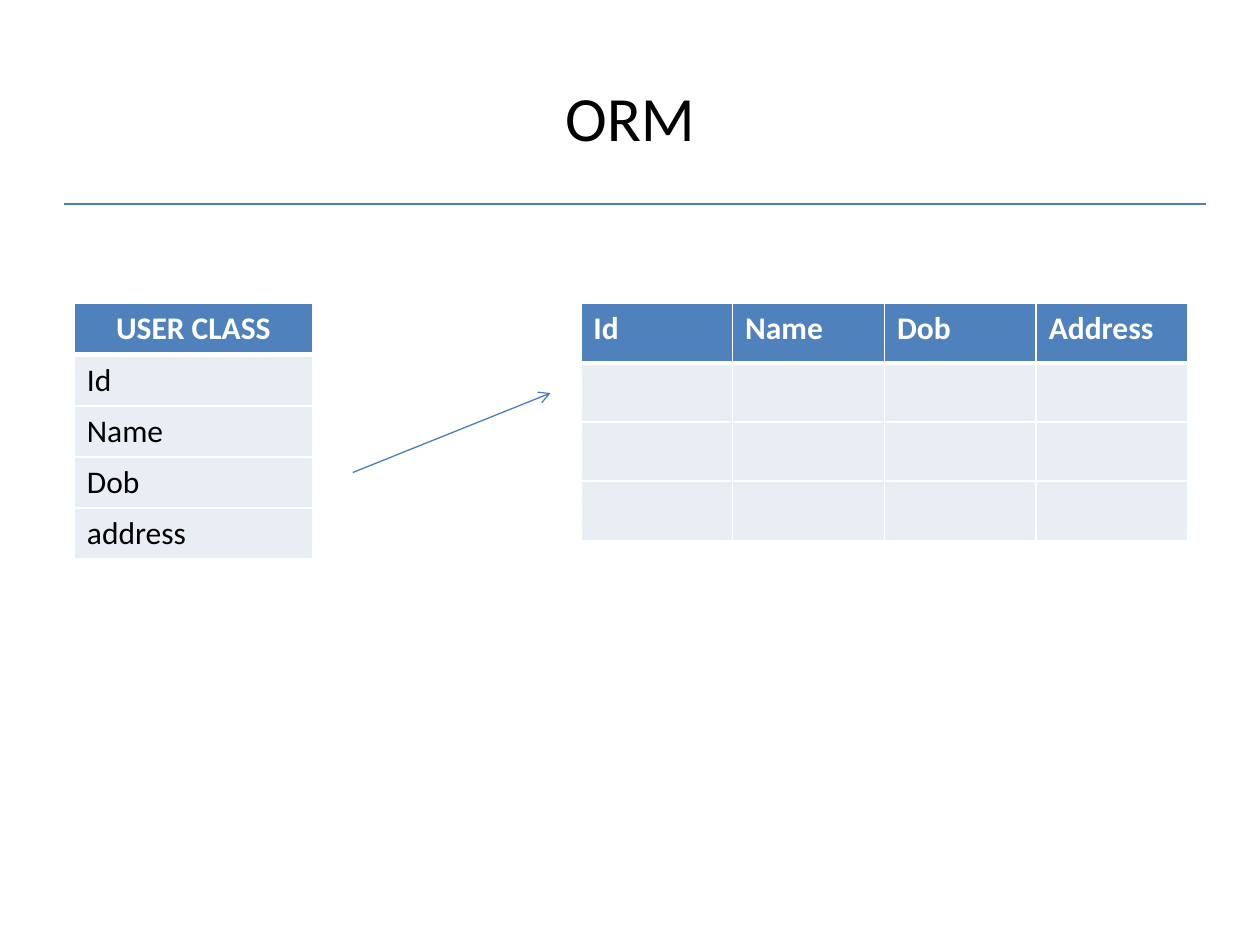
from lxml import etree
from pptx import Presentation
from pptx.dml.color import RGBColor
from pptx.enum import shapes, text
from pptx.oxml.ns import qn
from pptx.util import Inches, Pt

COLORS = {"text": "000000", "white": "FFFFFF", "header": "4F81BD",
          "body": "E9EDF4", "line": "4B7EBC"}
FONT = "Calibri"
TITLE = "ORM"
CENTER, LEFT = text.PP_ALIGN.CENTER, text.PP_ALIGN.LEFT

# Each table: left, top, column width, row height, header alignment, rows
TABLES = [
    (0.59, 2.41, 1.89, 0.4, CENTER,
     [["USER CLASS"], ["Id"], ["Name"], ["Dob"], ["address"]]),
    (4.61, 2.41, 1.205, 0.47, LEFT,
     [["Id", "Name", "Dob", "Address"]] + [[""] * 4] * 3),
]
# Each line: start, end, has arrowhead
RULE = ((0.51, 1.62), (9.57, 1.62), False)
MAPPING_ARROW = ((2.8, 3.75), (4.37, 3.12), True)


def rgb(name):
    return RGBColor.from_string(COLORS[name])


def write(tf, content, size=18, color="text", bold=False, align=LEFT):
    p = tf.paragraphs[0]
    p.alignment = align
    p.font.size = Pt(size)
    if content:
        r = p.add_run()
        r.text = content
        r.font.name, r.font.size, r.font.bold = FONT, Pt(size), bold
        r.font.color.rgb = rgb(color)


def add_line(s, start, end, arrow):
    line = s.shapes.add_connector(shapes.MSO_CONNECTOR.STRAIGHT,
                                  *map(Inches, start + end))
    line.line.color.rgb = rgb("line")
    line.line.width = Pt(0.75)
    if arrow:
        etree.SubElement(line.line._get_or_add_ln(), qn("a:tailEnd"), type="arrow")
    etree.SubElement(line._element.spPr, qn("a:effectLst"))


def set_borders(cell, widths):
    tc_pr = cell._tc.get_or_add_tcPr()
    for side, width in widths.items():
        ln = etree.SubElement(tc_pr, qn(f"a:ln{side}"), w=str(Pt(width)))
        fill = etree.SubElement(ln, qn("a:solidFill"))
        etree.SubElement(fill, qn("a:srgbClr"), val=COLORS["white"])


def add_table(s, left, top, col_w, row_h, header_align, rows):
    n_rows, n_cols = len(rows), len(rows[0])
    table = s.shapes.add_table(n_rows, n_cols, Inches(left), Inches(top),
                               Inches(col_w * n_cols), Inches(row_h * n_rows)).table
    table.horz_banding = False
    for col in table.columns:
        col.width = Inches(col_w)
    for i, row in enumerate(rows):
        table.rows[i].height = Inches(row_h)
        header = i == 0
        for j, content in enumerate(row):
            cell = table.cell(i, j)
            # The edge below the header is thicker
            set_borders(cell, {"L": 1, "R": 1, "T": 3 if i == 1 else 1,
                               "B": 3 if header else 1})
            cell.fill.solid()
            cell.fill.fore_color.rgb = rgb("header" if header else "body")
            write(cell.text_frame, content, bold=header,
                  color="white" if header else "text",
                  align=header_align if header else LEFT)


def main():
    prs = Presentation()
    prs.slide_width, prs.slide_height = Inches(10), Inches(7.5)
    s = prs.slides.add_slide(prs.slide_layouts[5])

    # Title and rule
    title = s.shapes.title
    title.left, title.top, title.width, title.height = map(Inches, (0.5, 0.3, 9, 1.25))
    title.text_frame.vertical_anchor = text.MSO_ANCHOR.MIDDLE
    write(title.text_frame, TITLE, size=36, align=CENTER)
    add_line(s, *RULE)

    # Class and database table, joined by the mapping arrow
    for table in TABLES:
        add_table(s, *table)
    add_line(s, *MAPPING_ARROW)

    prs.save("out.pptx")


if __name__ == "__main__":
    main()
